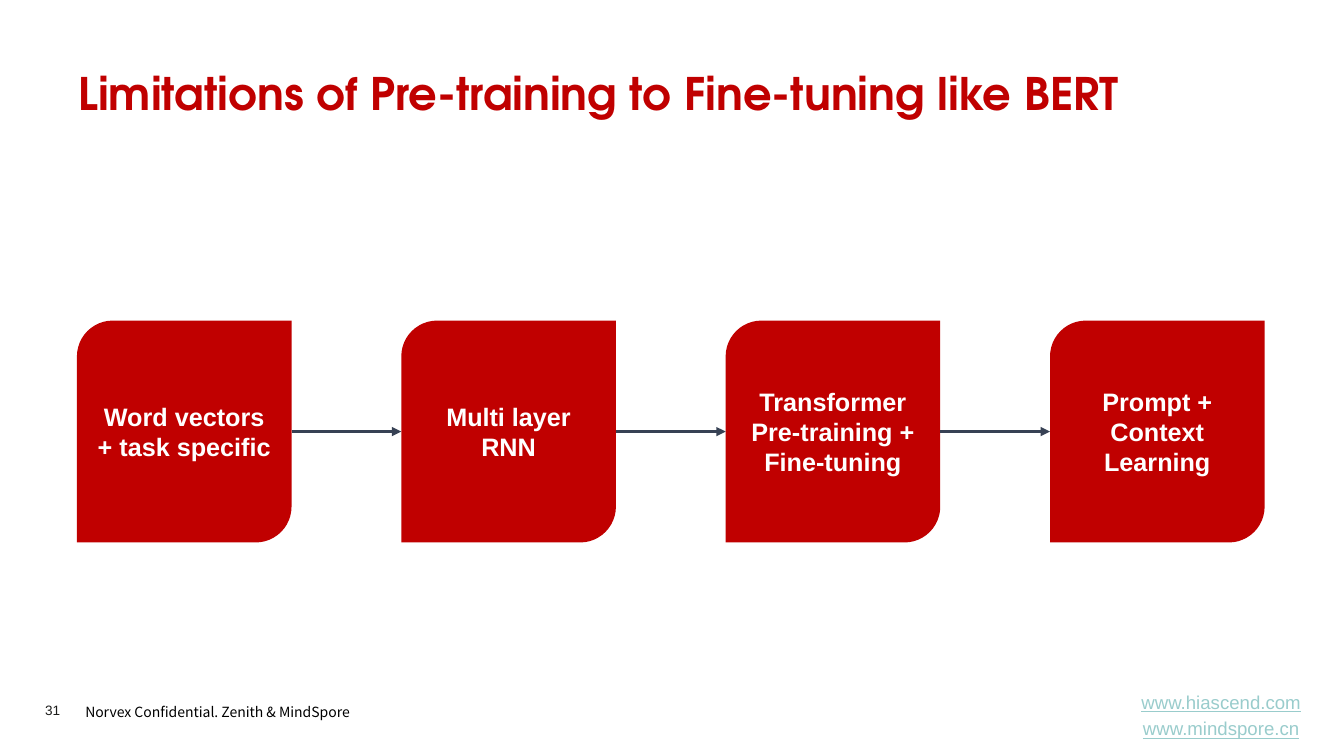
from itertools import pairwise

from lxml.etree import SubElement
from pptx import Presentation
from pptx.dml.color import RGBColor
from pptx.enum.shapes import MSO_CONNECTOR, MSO_SHAPE
from pptx.enum.text import MSO_ANCHOR, PP_ALIGN
from pptx.oxml.ns import qn
from pptx.util import Cm, Pt

COLORS = {
    "red": "C00000",
    "white": "FFFFFF",
    "black": "000000",
    "ink": "1D1D1B",
    "link": "99CCCC",
    "arrow": "374154",
}
STAGES = [
    "Word vectors + task specific",
    "Multi layer RNN",
    "Transformer Pre-training + Fine-tuning",
    "Prompt + Context Learning",
]


def color(name):
    return RGBColor.from_string(COLORS[name])


def write(shape, text, *, size, fill, font="Arial", bold=False, underline=False,
          align=PP_ALIGN.LEFT, anchor=MSO_ANCHOR.TOP, line_spacing=None,
          gap=0, inset=None):
    """Fill a shape with text, one paragraph per line."""
    frame = shape.text_frame
    frame.word_wrap = True
    frame.vertical_anchor = anchor
    if inset is not None:
        frame.margin_left = frame.margin_right = inset
        frame.margin_top = frame.margin_bottom = inset
    frame.text = text
    for index, paragraph in enumerate(frame.paragraphs):
        paragraph.alignment = align
        paragraph.line_spacing = line_spacing
        if index:
            paragraph.space_before = Pt(gap)
        for run in paragraph.runs:
            run.font.name = font
            run.font.size = Pt(size)
            run.font.bold = bold
            run.font.underline = underline
            run.font.color.rgb = color(fill)


def add_text(slide, box, text, **style):
    write(slide.shapes.add_textbox(*map(Cm, box)), text, **style)


def add_title(slide, box):
    add_text(slide, box, "Limitations of Pre-training to Fine-tuning like BERT",
             size=32, fill="red", font="TeX Gyre Adventor", bold=True)


def add_stage(slide, box, text):
    stage = slide.shapes.add_shape(MSO_SHAPE.ROUND_2_DIAG_RECTANGLE, *map(Cm, box))
    stage.shadow.inherit = False
    stage.fill.solid()
    stage.fill.fore_color.rgb = color("red")
    stage.line.fill.background()
    write(stage, text, size=18, fill="white", bold=True,
          align=PP_ALIGN.CENTER, anchor=MSO_ANCHOR.MIDDLE)
    return stage


def add_arrow(slide, source, target):
    middle = source.top + source.height // 2
    arrow = slide.shapes.add_connector(
        MSO_CONNECTOR.STRAIGHT, source.left + source.width, middle, target.left, middle)
    arrow.line.color.rgb = color("arrow")
    arrow.line.width = Pt(2.25)
    SubElement(arrow.line._get_or_add_ln(), qn("a:tailEnd"), type="triangle")
    SubElement(arrow._element.spPr, qn("a:effectLst"))


def add_flow(slide, box, stage_width=5.41):
    """Spread the stages evenly over the box and link them with arrows."""
    left, top, width, height = box
    pitch = (width - stage_width) / (len(STAGES) - 1)
    stages = [add_stage(slide, (left + i * pitch, top, stage_width, height), text)
              for i, text in enumerate(STAGES)]
    for source, target in pairwise(stages):
        add_arrow(slide, source, target)


def add_footer(slide, box):
    left, top, width, _ = box
    # Confidentiality note
    add_text(slide, (left + 0.76, top + 0.05, 7.95, 0.74),
             "Norvex Confidential. Zenith & MindSpore",
             size=10, fill="black", font="Noto Sans CJK SC", line_spacing=1.2)
    # Page number
    add_text(slide, (left, top + 0.2, 1.4, 0.41), "31", size=9.7, fill="ink", inset=0)
    # Web addresses
    add_text(slide, (left + width - 5.49, top, 5.49, 1.09),
             "www.hiascend.com\nwww.mindspore.cn",
             size=13.3, fill="link", underline=True, gap=3,
             align=PP_ALIGN.CENTER, anchor=MSO_ANCHOR.MIDDLE)


def main():
    deck = Presentation()
    deck.slide_width, deck.slide_height = Cm(33.88), Cm(19.05)
    slide = deck.slides.add_slide(deck.slide_layouts[6])
    add_footer(slide, (1.14, 17.48, 32.39, 1.09))
    add_title(slide, (1.73, 1.52, 30.45, 1.63))
    add_flow(slide, (1.94, 8.08, 29.94, 5.59))
    deck.save("out.pptx")


if __name__ == "__main__":
    main()
